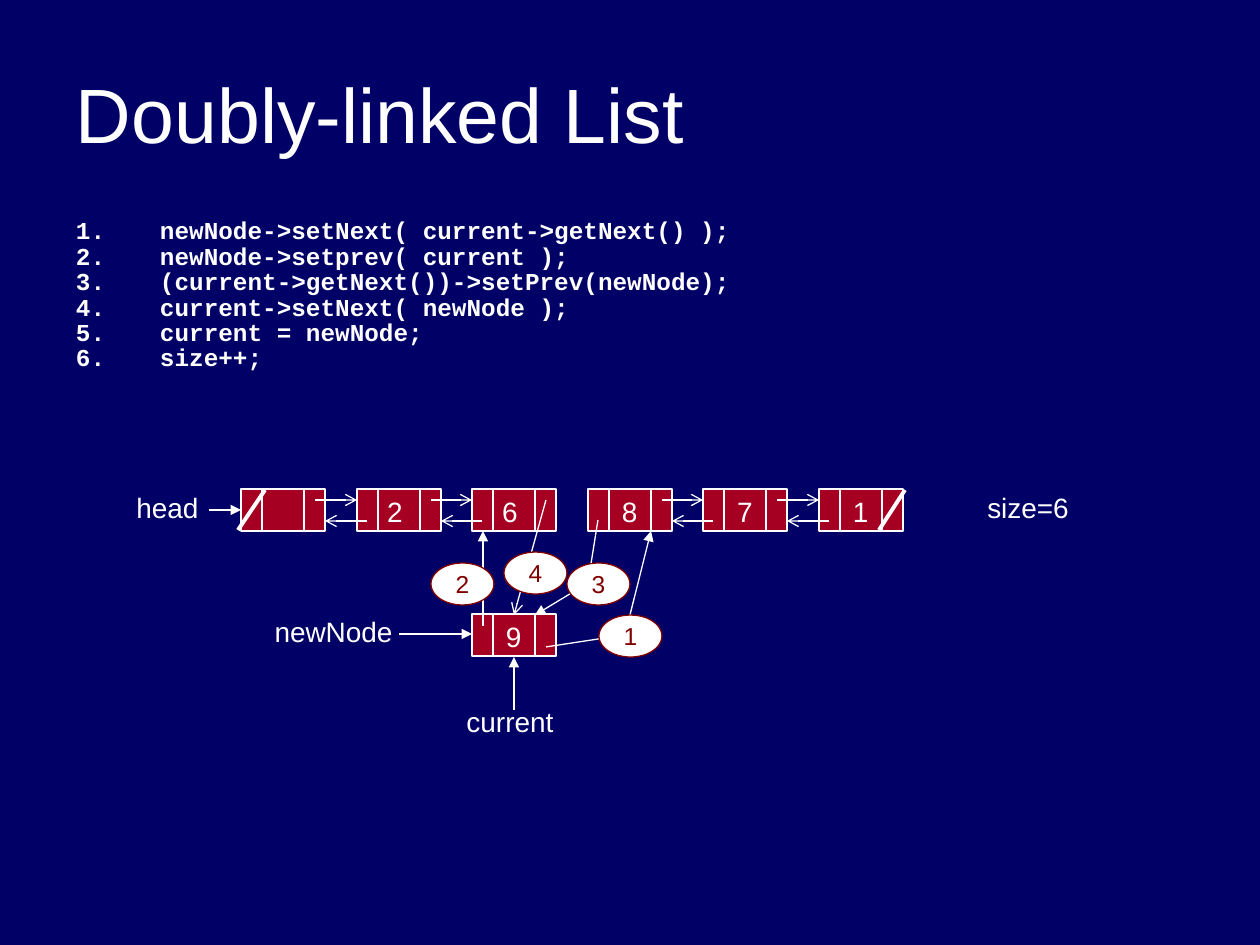
"""Builds the doubly-linked list insertion slide."""
from lxml import etree
from pptx import Presentation
from pptx.dml.color import RGBColor
from pptx.enum.shapes import MSO_CONNECTOR, MSO_SHAPE
from pptx.enum.text import MSO_ANCHOR, MSO_AUTO_SIZE, PP_ALIGN
from pptx.oxml.ns import qn
from pptx.util import Emu, Pt

TITLE = "Doubly-linked List"
STEPS = [
    "newNode->setNext( current->getNext() );",
    "newNode->setprev( current );",
    "(current->getNext())->setPrev(newNode);",
    "current->setNext( newNode );",
    "current = newNode;",
    "size++;",
]
NODES = [("", 30), ("2", 30), ("6", 30), ("8", 34), ("7", 34), ("1", 34)]
LABELS = [
    ("size=6", 975, 485, 106),
    ("head", 124, 485, 87),
    ("current", 454, 699, 112),
    ("newNode", 262, 609, 143),
]
ARROWS = [
    ((209, 510), (241, 510), "triangle"),
    ((514, 710), (514, 657), "triangle"),
    ((399, 634), (472, 634), "triangle"),
    ((483, 626), (483, 531), "triangle"),
    ((546, 500), (514, 615), "arrow"),
]
PATHS = [
    [(546, 647), (625, 635), (651, 531)],
    [(598, 520), (588, 583), (535, 615)],
]
BADGES = [("1", 599, 615), ("2", 431, 563), ("3", 567, 563), ("4", 504, 552)]
SLASHES = [((265, 490), (238, 530)), ((905, 490), (879, 530))]

NAVY, RED, MAROON, WHITE = "000066", "A50021", "800000", "FFFFFF"
ROW_TOP, ROW_LEFT, STEP = 489, 241, 115.6
NODE_W, NODE_H, CELL = 84, 42, 21
UNLINKED = 2


def px(length):
    return Emu(round(length * 914400 / 126))


def color(code):
    return RGBColor.from_string(code)


def write(frame, text, size=16, font="Arial", ink=WHITE, bold=False,
          align=PP_ALIGN.LEFT, anchor=MSO_ANCHOR.TOP, wrap=True,
          margins=(13, 6, 13, 6)):
    frame.word_wrap = wrap
    frame.auto_size = MSO_AUTO_SIZE.NONE
    frame.vertical_anchor = anchor
    (frame.margin_left, frame.margin_top,
     frame.margin_right, frame.margin_bottom) = map(px, margins)
    frame.text = text
    for para in frame.paragraphs:
        para.alignment = align
        for span in para.runs:
            span.font.size, span.font.name, span.font.bold = Pt(size), font, bold
            span.font.color.rgb = color(ink)


def stroke(item, ink=WHITE, width=0.75, tip=None):
    item.line.color.rgb = color(ink)
    item.line.width = Pt(width)
    if tip:
        etree.SubElement(item.line._get_or_add_ln(), qn("a:tailEnd"), type=tip)


def add_line(start, end, width=0.75, tip=None):
    line = page.shapes.add_connector(
        MSO_CONNECTOR.STRAIGHT, *map(px, (*start, *end)))
    stroke(line, width=width, tip=tip)
    etree.SubElement(line._element.spPr, qn("a:effectLst"))


def add_box(kind, left, top, width, height, fill, ink):
    box = page.shapes.add_shape(kind, *map(px, (left, top, width, height)))
    box.shadow.inherit = False
    box.fill.solid()
    box.fill.fore_color.rgb = color(fill)
    stroke(box, ink)
    return box


def add_node(left, top, value, inset):
    box = add_box(MSO_SHAPE.RECTANGLE, left, top, NODE_W, NODE_H, RED, WHITE)
    if value:
        write(box.text_frame, value, margins=(inset, 6, 0, 0))
    for x in (left + CELL, left + NODE_W - CELL):
        add_line((x, top), (x, top + NODE_H))


def number(para):
    para.line_spacing, para.space_before = 0.6, Pt(4.5)
    props = para._p.get_or_add_pPr()
    props.set("marL", str(px(84)))
    props.set("indent", str(-px(84)))
    tint = etree.SubElement(props, qn("a:buClr"))
    etree.SubElement(tint, qn("a:srgbClr"), val=WHITE)
    etree.SubElement(props, qn("a:buFont"), typeface="Courier New")
    etree.SubElement(props, qn("a:buAutoNum"), type="arabicPeriod")


def place(holder, left, top, width, height):
    holder.left, holder.top = px(left), px(top)
    holder.width, holder.height = px(width), px(height)


deck = Presentation()
deck.slide_width, deck.slide_height = px(1260), px(945)
page = deck.slides.add_slide(deck.slide_layouts[1])
page.background.fill.solid()
page.background.fill.fore_color.rgb = color(NAVY)

title, body = page.placeholders
place(title, 63, 50, 1134, 126)
write(title.text_frame, TITLE, size=44, anchor=MSO_ANCHOR.MIDDLE)
place(body, 63, 220, 1134, 158)
write(body.text_frame, "\n".join(STEPS), size=13.9, font="Courier New", bold=True)
for para in body.text_frame.paragraphs:
    number(para)

lefts = [round(ROW_LEFT + STEP * index) for index in range(len(NODES))]
for left, (value, inset) in zip(lefts, NODES):
    add_node(left, ROW_TOP, value, inset)
add_node(lefts[2], 614, "9", 34)

for index, (left, following) in enumerate(zip(lefts, lefts[1:])):
    if index != UNLINKED:
        add_line((left + 74, 500), (following, 500), tip="arrow")
        add_line((following + 10, 521), (left + NODE_W, 521), tip="arrow")
for start, end in SLASHES:
    add_line(start, end, width=2.25)
for start, end, tip in ARROWS:
    add_line(start, end, tip=tip)
for start, *rest in PATHS:
    builder = page.shapes.build_freeform(*map(px, start))
    builder.add_line_segments([tuple(map(px, point)) for point in rest], close=False)
    route = builder.convert_to_shape()
    route.shadow.inherit = False
    route.fill.background()
    stroke(route, tip="triangle")

for text, left, top, width in LABELS:
    label = page.shapes.add_textbox(*map(px, (left, top, width, 46)))
    write(label.text_frame, text, align=PP_ALIGN.CENTER, wrap=False)
for text, left, top in BADGES:
    badge = add_box(MSO_SHAPE.OVAL, left, top, 63, 42, WHITE, MAROON)
    write(badge.text_frame, text, size=14, ink=MAROON, align=PP_ALIGN.CENTER,
          anchor=MSO_ANCHOR.MIDDLE, margins=(0, 0, 0, 0))

deck.save("out.pptx")
